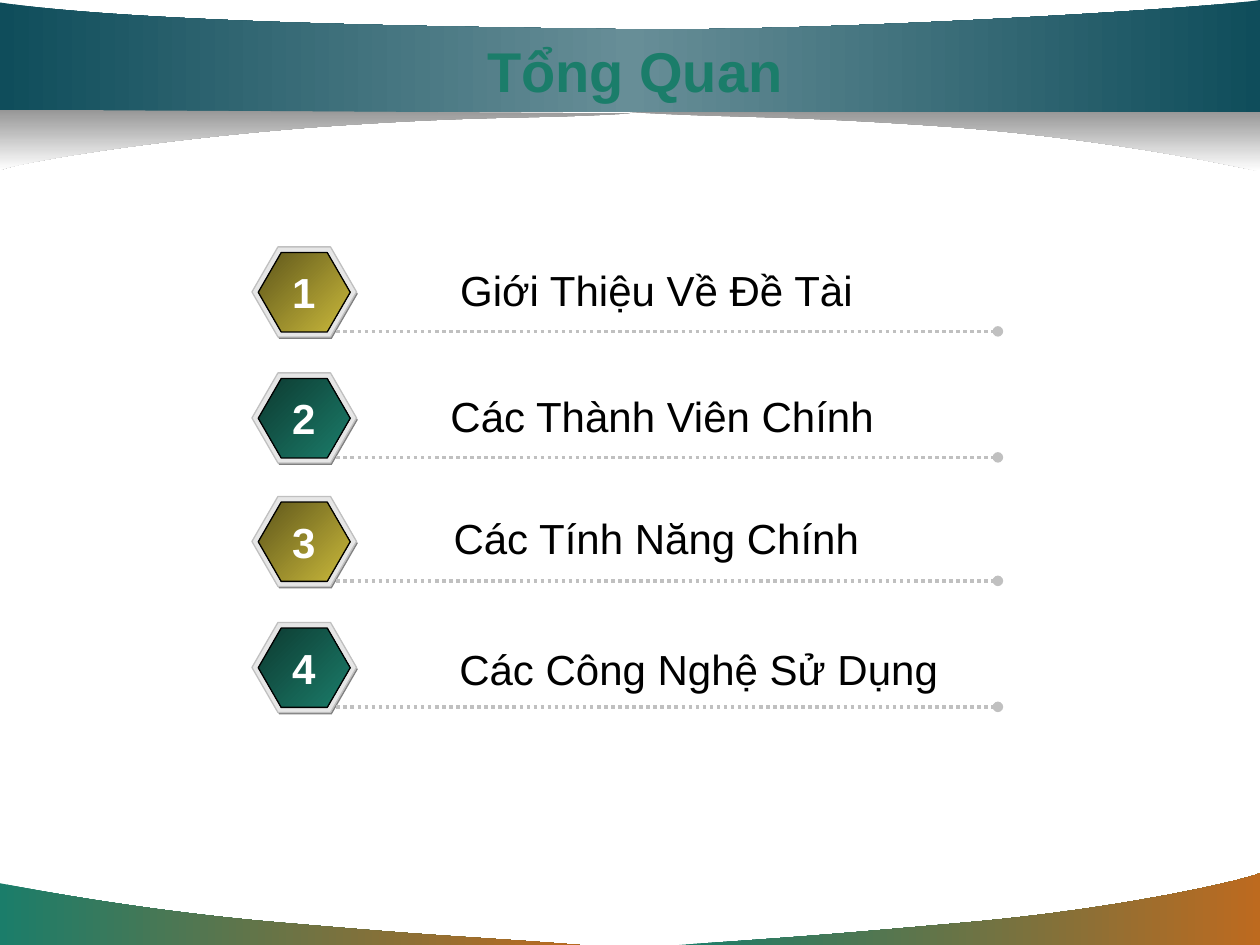
from copy import deepcopy

from lxml import etree
from pptx import Presentation
from pptx.dml.color import RGBColor
from pptx.enum.dml import MSO_LINE
from pptx.enum.shapes import MSO_CONNECTOR, MSO_SHAPE
from pptx.enum.text import MSO_ANCHOR, MSO_AUTO_SIZE, PP_ALIGN
from pptx.oxml.ns import qn
from pptx.util import Inches, Pt

HEXAGON, STRAIGHT = MSO_SHAPE.HEXAGON, MSO_CONNECTOR.STRAIGHT
DOTS, CENTER, MIDDLE = MSO_LINE.ROUND_DOT, PP_ALIGN.CENTER, MSO_ANCHOR.MIDDLE
FIT, FIXED = MSO_AUTO_SIZE.SHAPE_TO_FIT_TEXT, MSO_AUTO_SIZE.NONE

COLS, ROWS = 100, 75
CELL = Inches(0.1)
FONT = "Arial"

COLORS = {
    "green": "1B7D6A", "dark_green": "0D3A31", "orange": "BD6A1F",
    "gold": "CBBA3B", "dark_gold": "5E561B", "teal": "0F4D5B",
    "light_teal": "678E97", "shade": "969696", "white": "FFFFFF",
    "black": "000000", "rim": "E6E6E6", "silver": "C0C0C0", "gray": "808080",
}

AGENDA = [
    (19.6, "Giới Thiệu Về Đề Tài", (9.2, 0.9, 45.8)),
    (29.6, "Các Thành Viên Chính", (9.2, 0.9, 46.7)),
    (39.4, "Các Tính Năng Chính ", (9.2, 0.8, 46.7)),
    (49.4, "Các Công Nghệ Sử Dụng", (12.1, 1.2, 46.7)),
]
BADGES = [("dark_gold", "gold"), ("dark_green", "green")]


def rgb(name):
    """Return the named colour."""
    return RGBColor.from_string(COLORS[name])


def cells(*values):
    """Turn grid cells into slide lengths."""
    return [round(v * CELL) for v in values]


def paint(shape, colors, angle=0, line=None):
    """Fill a shape with one colour or an even gradient, and outline it."""
    shape.shadow.inherit = False
    if len(colors) == 1:
        shape.fill.solid()
        shape.fill.fore_color.rgb = rgb(colors[0])
    else:
        shape.fill.gradient()
        shape.fill.gradient_angle = (360 - angle) % 360
        if len(colors) == 3:
            first = shape._element.spPr.find(".//" + qn("a:gs"))
            first.addnext(deepcopy(first))
        for i, (stop, color) in enumerate(zip(shape.fill.gradient_stops, colors)):
            stop.position = i / (len(colors) - 1)
            stop.color.rgb = rgb(color)
    if line:
        shape.line.color.rgb = rgb(line)
        shape.line.width = Pt(0.75)
    else:
        shape.line.fill.background()


def swoosh(s, box, lead, curve, close, colors, angle=0):
    """Draw straight lead points, a chain of cubic curves, then closing points."""
    left, top = box
    points = [cells(left + x, top + y) for x, y in lead + curve + close]
    fb = s.shapes.build_freeform(*points[0])
    fb.add_line_segments(points[1:], close=True)
    sp = fb.convert_to_shape()
    edges = sp._element.spPr.findall(".//" + qn("a:lnTo"))
    for i in range(len(lead), len(lead) + len(curve) - 1, 3):
        cubic = etree.Element(qn("a:cubicBezTo"))
        edges[i].addprevious(cubic)
        for edge in edges[i:i + 3]:
            cubic.append(edge[0])
            edge.getparent().remove(edge)
    paint(sp, colors, angle)


def add_text(s, box, text, size, color, bold=False, wrap=True, fit=FIT):
    """Add one centred line of text."""
    tf = s.shapes.add_textbox(*cells(*box)).text_frame
    tf.word_wrap, tf.auto_size = wrap, fit
    if fit == FIXED:
        tf.vertical_anchor = MIDDLE
    p = tf.paragraphs[0]
    p.alignment = CENTER
    r = p.add_run()
    r.text = text
    r.font.name, r.font.size, r.font.bold = FONT, Pt(size), bold
    r.font.color.rgb = rgb(color)


def footer(s, box):
    """Draw the two curved corners at the foot."""
    fill = ["green", "orange"]
    swoosh(s, box, [],
           [(46, 5.7), (38.4, 5.1), (35.8, 5.1), (23.2, 4),
            (10.6, 3), (0.1, 0.8), (0, 0.8)], [(0, 5.7)], fill)
    swoosh(s, box, [],
           [(53.9, 5.7), (61.4, 5.2), (64.6, 5), (76.9, 3.9),
            (89.2, 2.8), (99, 0.5), (100, 0)], [(100, 5.7)], fill)


def header(s, box, title):
    """Draw the curved band with its shadows and the title."""
    shadow = ["shade", "white"]
    swoosh(s, box, [],
           [(50, 8.9), (58.4, 9.4), (62, 9.1), (75.8, 10.1),
            (89.7, 11.2), (99.8, 13.6), (100, 13.6)], [(100, 8.8)], shadow, 90)
    swoosh(s, box, [(0, 8.9), (100, 8.9)],
           [(100, 0), (96.4, 0.6), (65.3, 2.6), (48.7, 2.3),
            (32.1, 2.1), (10.1, 1.7), (0, 0.2)], [],
           ["teal", "light_teal", "teal"])
    swoosh(s, box, [],
           [(50, 9), (41.6, 9.5), (38.8, 9.1), (24.9, 10.1),
            (11, 11.2), (1.1, 13), (0, 13.5)], [(0, 8.7)], shadow, 90)
    left, top = box
    add_text(s, (left + 7.5, top + 2.5, 85.8, 6.2), title, 32, "green",
             bold=True, fit=FIXED)


def badge(s, box, colors):
    """Group three stacked hexagons into a rimmed badge."""
    left, top = box
    group = s.shapes.add_group_shape()
    layers = [((0.1, 0.15, 8.3, 7.15), ["gray"], None),
              ((0, 0, 8.3, 7.15), ["rim"], "silver"),
              ((0.5, 0.45, 7.3, 6.3), colors, "black")]
    for (x, y, w, h), fill, line in layers:
        sp = group.shapes.add_shape(HEXAGON, *cells(left + x, top + y, w, h))
        sp.adjustments[0] = 0.289
        paint(sp, fill, 45, line)


def dotted_rule(s, box):
    """Draw a dotted rule that ends in a dot."""
    left, top, width = box
    line = s.shapes.add_connector(STRAIGHT, *cells(left, top, left + width, top))
    line.line.color.rgb = rgb("silver")
    line.line.width, line.line.dash_style = Pt(2), DOTS
    ln = line.line._get_or_add_ln()
    etree.SubElement(ln, qn("a:tailEnd"), type="oval")
    etree.SubElement(line._element.spPr, qn("a:effectLst"))


def agenda_row(s, box, number, text, label, colors):
    """Place a numbered badge, its label and the rule below."""
    left, top = box
    dx, dy, width = label
    badge(s, box, colors)
    dotted_rule(s, (left + 6.7, top + 6.7, 52.5))
    add_text(s, (left + dx, top + dy, width, 5), text, 24, "black")
    add_text(s, (left + 2.2, top + 1.1, 3.8, 5), str(number), 24, "white",
             bold=True, wrap=False)


def main():
    """Build the overview slide."""
    prs = Presentation()
    prs.slide_width, prs.slide_height = cells(COLS, ROWS)
    s = prs.slides.add_slide(prs.slide_layouts[6])
    footer(s, (0, ROWS - 5.7))
    header(s, (0, 0), "Tổng Quan")
    for i, (top, text, label) in enumerate(AGENDA):
        agenda_row(s, (20, top), i + 1, text, label, BADGES[i % 2])
    prs.save("out.pptx")


if __name__ == "__main__":
    main()
